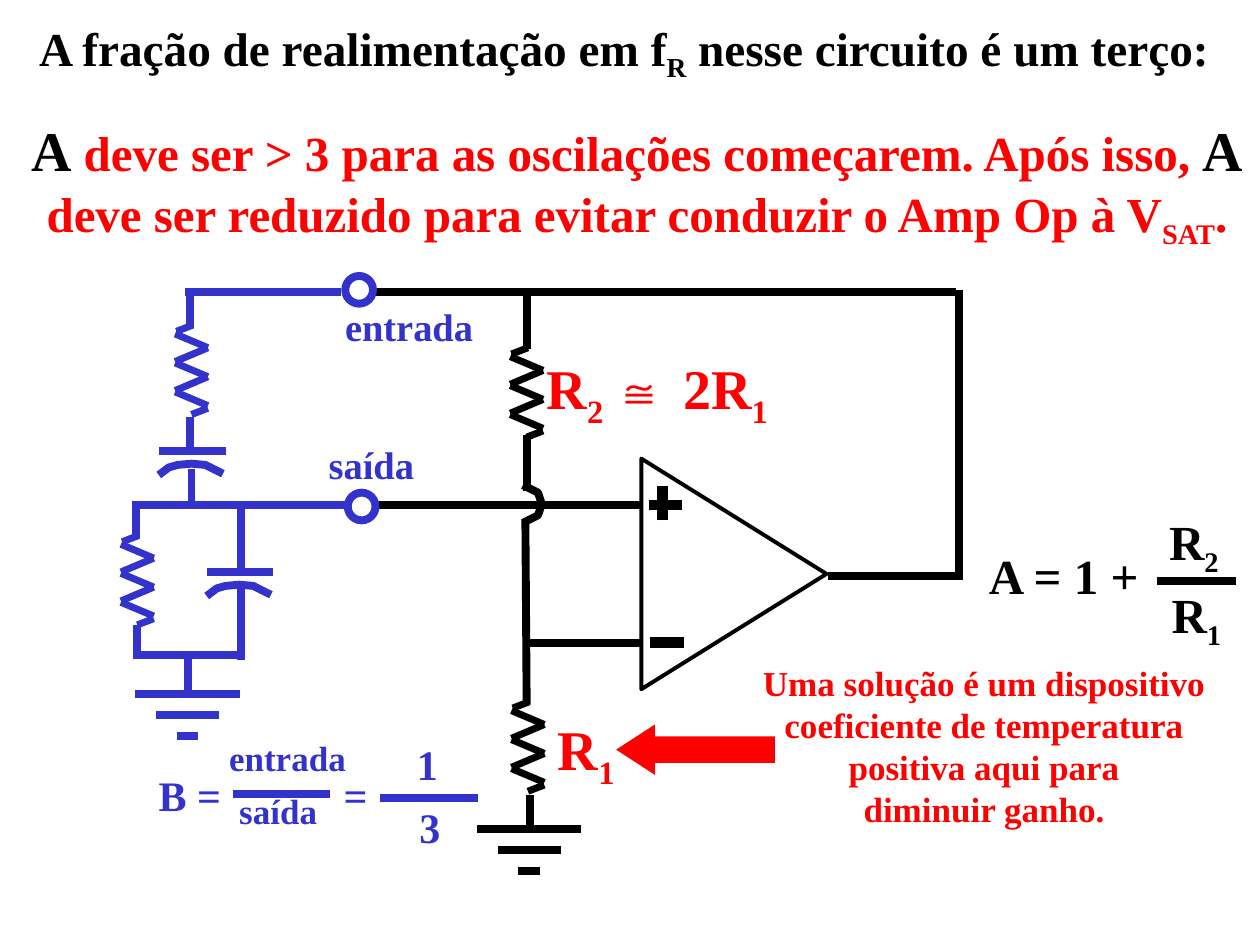
from lxml.etree import SubElement
from pptx import Presentation
from pptx.dml.color import RGBColor
from pptx.enum.shapes import MSO_CONNECTOR, MSO_SHAPE
from pptx.enum.text import MSO_ANCHOR, MSO_AUTO_SIZE, PP_ALIGN
from pptx.oxml.ns import qn
from pptx.util import Inches, Pt

BLACK, BLUE, RED = "000000", "3333CC", "FF0000"
SERIF = "Times New Roman"
SUBSCRIPT = {"baseline": "-25000"}


def draw_wire(page, color, width, x1, y1, x2, y2):
    wire = page.shapes.add_connector(
        MSO_CONNECTOR.STRAIGHT, Inches(x1), Inches(y1), Inches(x2), Inches(y2))
    wire.line.color.rgb = RGBColor.from_string(color)
    wire.line.width = Pt(width)
    SubElement(wire._element.spPr, qn("a:effectLst"))


def write_text(box, paragraphs, size, color, align=PP_ALIGN.LEFT):
    frame = box.text_frame
    settings = {"word_wrap": False, "auto_size": MSO_AUTO_SIZE.NONE,
                "vertical_anchor": MSO_ANCHOR.TOP}
    for name, value in settings.items():
        setattr(frame, name, value)
    for index, runs in enumerate(paragraphs):
        para = frame.add_paragraph() if index else frame.paragraphs[0]
        para.alignment = align
        for text, changes in runs:
            span = para.add_run()
            span.text = text
            look = {"size": size, "name": SERIF, "bold": True, "color": color} | changes
            span.font.color.rgb = RGBColor.from_string(look.pop("color"))
            if "baseline" in look:
                span._r.get_or_add_rPr().set("baseline", look.pop("baseline"))
            look["size"] = Pt(look["size"])
            for name, value in look.items():
                setattr(span.font, name, value)


deck = Presentation()
deck.slide_width, deck.slide_height = Inches(10), Inches(7.5)
page = deck.slides.add_slide(deck.slide_layouts[5])

title = page.shapes.title
title.left, title.top, title.width, title.height = map(Inches, (0.21, 0.1, 9.52, 0.61))
write_text(title, [[("A fração de realimentação em f", {}), ("R", SUBSCRIPT),
                    (" nesse circuito é um terço:", {})]], 27, BLACK)

amplifier = page.shapes.add_shape(
    MSO_SHAPE.ISOSCELES_TRIANGLE, Inches(4.91), Inches(3.82), Inches(1.83), Inches(1.47))
amplifier.rotation = 90
amplifier.shadow.inherit = False
amplifier.fill.background()
amplifier.line.color.rgb = RGBColor.from_string(BLACK)
amplifier.line.width = Pt(2.25)

signs = [(5.16, 5.1, 5.43, 5.1), (5.15, 4.01, 5.41, 4.01), (5.26, 4.13, 5.26, 3.86)]
for ends in signs:
    draw_wire(page, BLACK, 6, *ends)

amplifier_wires = [
    (6.57, 4.57, 7.64, 4.57), (5.09, 5.1, 4.16, 5.1), (4.17, 4.13, 4.18, 5.59),
    (7.61, 2.3, 7.61, 4.58), (5.09, 4.01, 2.99, 4.01), (2.97, 2.32, 7.59, 2.32),
    (4.21, 6.31, 4.21, 6.57), (4.18, 2.77, 4.18, 2.34), (4.18, 3.45, 4.18, 3.9),
    (9.18, 4.61, 9.81, 4.61)]
feedback_wires = [
    (2.71, 2.32, 1.47, 2.32), (1.51, 2.33, 1.51, 2.6), (1.08, 4.02, 1.08, 4.28),
    (1.51, 3.31, 1.51, 3.58), (1.09, 4.96, 1.09, 5.23), (1.91, 4.66, 1.91, 5.24),
    (1.91, 4.03, 1.91, 4.51), (1.52, 3.72, 1.52, 3.99), (1.05, 4.01, 2.76, 4.01),
    (1.49, 5.22, 1.49, 5.49), (1.07, 5.2, 1.91, 5.2),
    (1.85, 6.3, 2.62, 6.3), (3.02, 6.33, 3.79, 6.33)]
for color, wires in ((BLACK, amplifier_wires), (BLUE, feedback_wires)):
    for ends in wires:
        draw_wire(page, color, 4.5, *ends)

resistor_strokes = [(0.01, 0.05, 0.14, 0), (0.13, 0.71, 0.26, 0.66)]
resistor_strokes += [(0.26, 0.18 + 0.23 * turn, 0, 0.07 + 0.23 * turn) for turn in range(3)]
resistor_strokes += [(0, 0.29 + 0.23 * turn, 0.26, 0.18 + 0.23 * turn) for turn in range(2)]
resistors = [(BLACK, 4.06, 5.57), (BLACK, 4.05, 2.76), (BLUE, 0.96, 4.25), (BLUE, 1.39, 2.58)]
for color, left, top in resistors:
    for x1, y1, x2, y2 in resistor_strokes:
        draw_wire(page, color, 4, left + x1, top + y1, left + x2, top + y2)

for color, center, top in ((BLACK, 4.2, 6.58), (BLUE, 1.49, 5.51)):
    for level, width in enumerate((0.83, 0.5, 0.17)):
        height = top + 0.165 * level
        draw_wire(page, color, 4.5, center - width / 2, height, center + width / 2, height)

plate_curve = [(0, 0.19), (0.08, 0.13), (0.15, 0.11), (0.26, 0.1),
               (0.37, 0.11), (0.45, 0.15), (0.51, 0.18)]
curves = [(BLACK, [(4.15, 4 + side * 0.15), (4.27, 4 + side * 0.09), (4.3, 4)])
          for side in (-1, 1)]
for left, top in ((1.26, 3.58), (1.64, 4.54)):
    draw_wire(page, BLUE, 4.5, left, top, left + 0.53, top)
    curves.append((BLUE, [(left + x, top + y) for x, y in plate_curve]))
for color, points in curves:
    points = [(Inches(x), Inches(y)) for x, y in points]
    builder = page.shapes.build_freeform(*points[0])
    builder.add_line_segments(points[1:], close=False)
    curve = builder.convert_to_shape()
    curve.shadow.inherit = False
    curve.fill.background()
    curve.line.color.rgb = RGBColor.from_string(color)
    curve.line.width = Pt(4.5)

for left, top in ((2.74, 2.19), (2.76, 3.91)):
    terminal = page.shapes.add_shape(
        MSO_SHAPE.OVAL, Inches(left), Inches(top), Inches(0.22), Inches(0.22))
    terminal.shadow.inherit = False
    terminal.fill.background()
    terminal.line.color.rgb = RGBColor.from_string(BLUE)
    terminal.line.width = Pt(4.5)

arrow = page.shapes.add_shape(
    MSO_SHAPE.LEFT_ARROW, Inches(4.89), Inches(5.75), Inches(1.26), Inches(0.4))
arrow.adjustments[0], arrow.adjustments[1] = 0.53, 0.77
arrow.shadow.inherit = False
arrow.fill.solid()
arrow.fill.fore_color.rgb = RGBColor.from_string(RED)
arrow.line.fill.background()

big_a = {"size": 32, "color": BLACK}
condition = [
    [("A", big_a), (" deve ser > 3 para as oscilações começarem. Após isso, ", {}), ("A", big_a)],
    [("deve ser reduzido para evitar conduzir o Amp Op à V", {}), ("SAT", SUBSCRIPT), (".", {})]]
ratio = [[("R", {}), ("2 ", SUBSCRIPT), ("≅ ", {"name": "Arial"}), ("2R", {}), ("1", SUBSCRIPT)]]
solution = [[(line, {})] for line in (
    "Uma solução é um dispositivo", "coeficiente de temperatura",
    "positiva aqui para", "diminuir ganho.")]
r1 = [[("R", {}), ("1", SUBSCRIPT)]]
r2 = [[("R", {}), ("2", SUBSCRIPT)]]
labels = [
    (2.64, 2.36, 1.21, 0.47, [[("entrada", {})]], 22, BLUE, PP_ALIGN.LEFT),
    (2.51, 3.45, 0.88, 0.47, [[("saída", {})]], 22, BLUE, PP_ALIGN.LEFT),
    (1.16, 6.06, 0.78, 0.5, [[("B =", {})]], 24, BLUE, PP_ALIGN.LEFT),
    (1.72, 5.8, 1.13, 0.44, [[("entrada", {})]], 20, BLUE, PP_ALIGN.LEFT),
    (1.8, 6.22, 0.82, 0.44, [[("saída", {})]], 20, BLUE, PP_ALIGN.LEFT),
    (2.63, 6.06, 0.47, 0.5, [[("=", {})]], 24, BLUE, PP_ALIGN.LEFT),
    (3.21, 5.81, 0.36, 0.5, [[("1", {})]], 24, BLUE, PP_ALIGN.LEFT),
    (3.23, 6.31, 0.36, 0.5, [[("3", {})]], 24, BLUE, PP_ALIGN.LEFT),
    (0.13, 0.87, 9.85, 1.17, condition, 28, RED, PP_ALIGN.CENTER),
    (4.24, 2.76, 2.01, 0.71, ratio, 32, RED, PP_ALIGN.LEFT),
    (4.33, 5.62, 0.65, 0.71, r1, 32, RED, PP_ALIGN.LEFT),
    (7.75, 4.28, 1.41, 0.57, [[("A = 1 +", {})]], 28, BLACK, PP_ALIGN.LEFT),
    (9.18, 4.01, 0.59, 0.63, r2, 28, BLACK, PP_ALIGN.LEFT),
    (9.2, 4.59, 0.59, 0.63, r1, 28, BLACK, PP_ALIGN.LEFT),
    (5.92, 5.2, 3.78, 1.44, solution, 20, RED, PP_ALIGN.CENTER)]
for left, top, width, height, paragraphs, size, color, align in labels:
    box = page.shapes.add_textbox(Inches(left), Inches(top), Inches(width), Inches(height))
    write_text(box, paragraphs, size, color, align)

deck.save("out.pptx")
